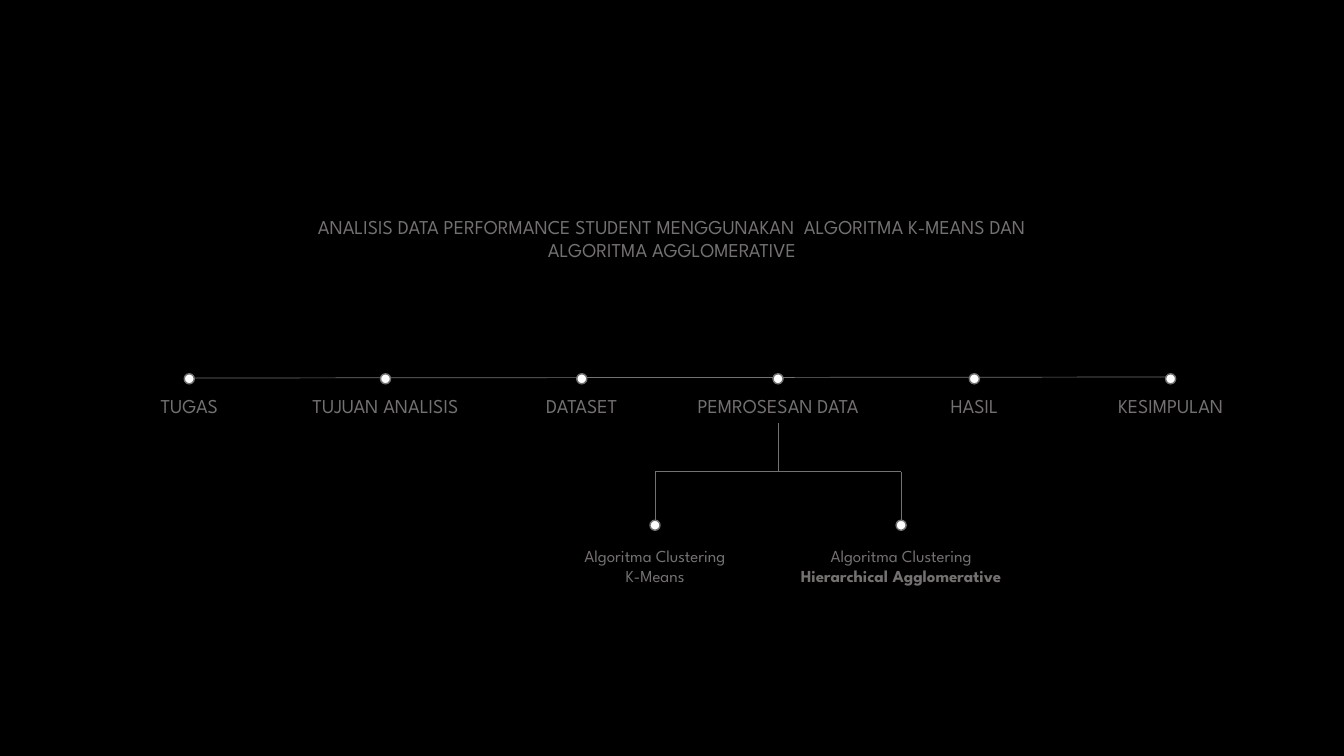
from dataclasses import dataclass
from lxml.etree import SubElement
from pptx import Presentation
from pptx.dml.color import RGBColor
from pptx.enum.shapes import MSO_CONNECTOR as Conn, MSO_SHAPE as Kind
from pptx.enum.text import MSO_AUTO_SIZE as Fit, PP_ALIGN as Align
from pptx.oxml.ns import qn
from pptx.shapes.autoshape import Shape
from pptx.shapes.connector import Connector
from pptx.util import Pt

FONT = "League Spartan"
GREY, WHITE, BLACK = "767171", "FFFFFF", "000000"
DOT = 7.2
FIRST, STEP = 135.2, 140.2
LINE_Y, DOT_Y, STEP_Y = 270, 270.6, 277.8
FORK_Y, LEAF_Y, LEAF_TOP = 337, 375.2, 386
SPREAD = 87.9


@dataclass
class Step:
    text: str
    width: float


@dataclass
class Leaf:
    text: str
    side: int
    width: float
    bold: bool = False


STEPS = [
    Step("TUGAS", 65),
    Step("TUJUAN ANALISIS", 144),
    Step("DATASET", 79),
    Step("PEMROSESAN DATA", 157),
    Step("HASIL", 58),
    Step("KESIMPULAN", 109),
]
LEAVES = [
    Leaf("Algoritma Clustering\nK-Means", -1, 136),
    Leaf("Algoritma Clustering\nHierarchical Agglomerative", 1, 181, True),
]
PARENT = 3

deck = Presentation()
deck.slide_width, deck.slide_height = Pt(960), Pt(540)
slide = deck.slides.add_slide(deck.slide_layouts[6])
shapes = slide.shapes


def tint(code: str) -> RGBColor:
    return RGBColor.from_string(code)


def label(text: str, mid: float, top: float, width: float, height: float,
          size: float = 14, wrap: bool = False) -> Shape:
    box = shapes.add_textbox(Pt(mid - width / 2), Pt(top), Pt(width), Pt(height))
    frame = box.text_frame
    frame.text = text
    frame.word_wrap = wrap
    frame.auto_size = Fit.SHAPE_TO_FIT_TEXT
    for para in frame.paragraphs:
        para.alignment = Align.CENTER
        for run in para.runs:
            run.font.name = FONT
            run.font.size = Pt(size)
            run.font.color.rgb = tint(GREY)
    return box


def dot(x: float, y: float) -> Shape:
    mark = shapes.add_shape(Kind.OVAL, Pt(x - DOT / 2), Pt(y - DOT / 2), Pt(DOT), Pt(DOT))
    mark.shadow.inherit = False
    mark.fill.solid()
    mark.fill.fore_color.rgb = tint(WHITE)
    mark.line.color.rgb = tint(GREY)
    mark.line.width = Pt(1)
    return mark


def rule(x1: float, y1: float, x2: float, y2: float) -> Connector:
    line = shapes.add_connector(Conn.STRAIGHT, Pt(x1), Pt(y1), Pt(x2), Pt(y2))
    line.line.color.rgb = tint(GREY)
    line.line.width = Pt(0.5)
    SubElement(line._element.spPr, qn("a:effectLst"))
    return line


# Background and title
back = slide.background.fill
back.solid()
back.fore_color.rgb = tint(BLACK)
label("ANALISIS DATA PERFORMANCE STUDENT MENGGUNAKAN  ALGORITMA K-MEANS DAN "
      "ALGORITMA AGGLOMERATIVE", 480, 149.8, 533.5, 41.2, wrap=True)

# Timeline
mids = [FIRST + STEP * i for i in range(len(STEPS))]
rule(mids[0] + DOT / 2, LINE_Y, mids[-1] + DOT / 2, LINE_Y - 0.7)
names = []
for step, mid in zip(STEPS, mids):
    dot(mid, DOT_Y)
    names.append(label(step.text, mid, STEP_Y, step.width, 24.2))

# Branches under the processing step
hub = mids[PARENT]
stem = rule(hub, STEP_Y + 24.2, hub, FORK_Y)
stem.begin_connect(names[PARENT], 2)
rule(hub - SPREAD, FORK_Y, hub + SPREAD, FORK_Y)
for leaf in LEAVES:
    x = hub + SPREAD * leaf.side
    drop = rule(x, FORK_Y, x, LEAF_Y - DOT / 2)
    drop.end_connect(dot(x, LEAF_Y), 0)
    box = label(leaf.text, x, LEAF_TOP, leaf.width, 36, size=12)
    box.text_frame.paragraphs[1].runs[0].font.bold = leaf.bold

deck.save("out.pptx")
